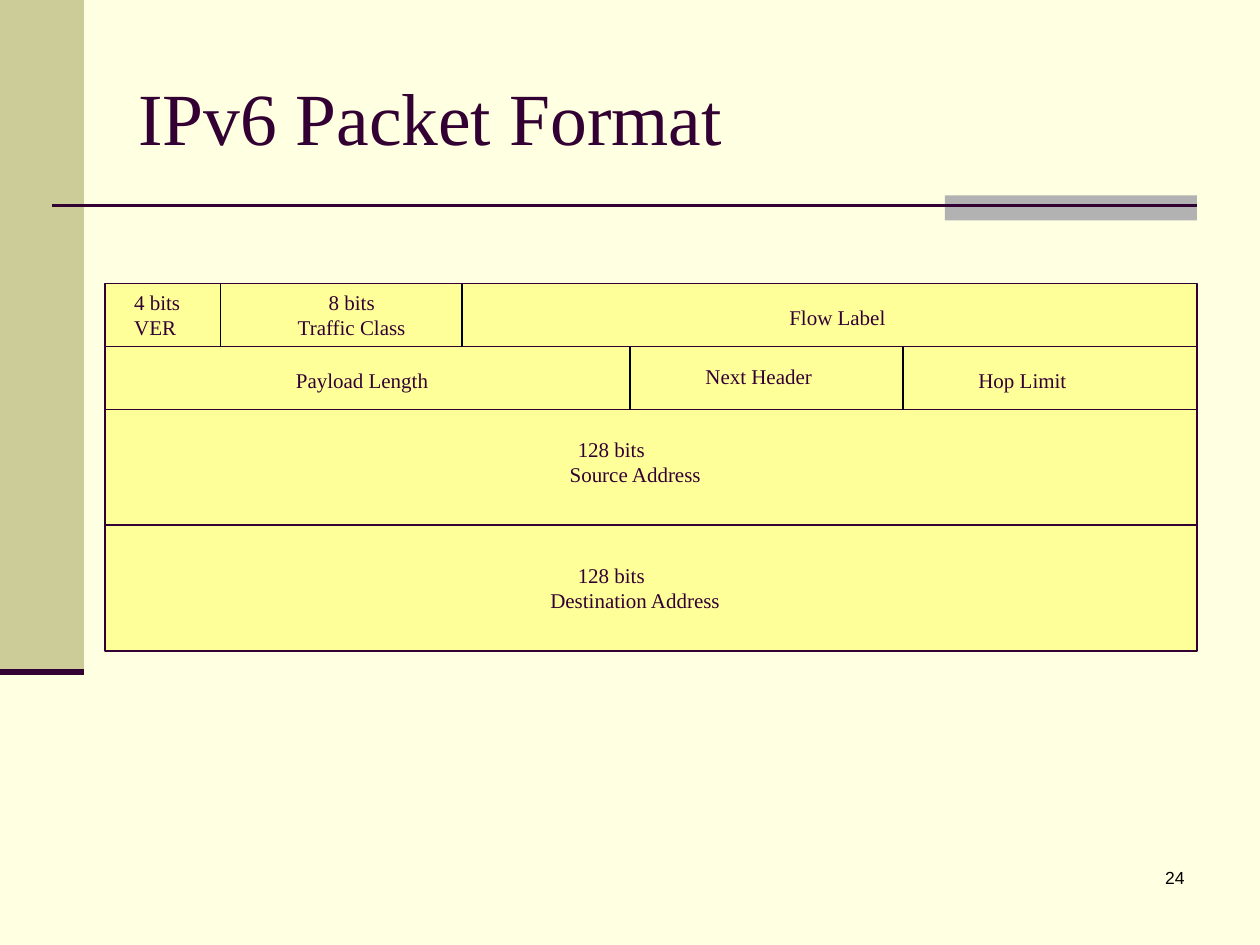
import pptx
import pptx.dml.color
import pptx.enum.shapes
import pptx.enum.text
import pptx.oxml.ns
import pptx.util
import lxml.etree

RGBColor = pptx.dml.color.RGBColor
CREAM = RGBColor(0xFF, 0xFF, 0xE1)
OLIVE = RGBColor(0xCC, 0xCC, 0x99)
GRAY = RGBColor(0xB2, 0xB2, 0xB2)
YELLOW = RGBColor(0xFF, 0xFF, 0x99)
PLUM = RGBColor(0x33, 0x00, 0x33)
BLACK = RGBColor(0x00, 0x00, 0x00)
ALIGN = pptx.enum.text.PP_ALIGN
ANCHOR = pptx.enum.text.MSO_ANCHOR
SERIF = "Times New Roman"
COLUMNS, ROWS = 120, 90


class PacketSlide:
    """Draws styled elements on a slide divided into 120 columns and 90 rows."""

    def __init__(self, deck):
        self.cell_width = deck.slide_width / COLUMNS
        self.cell_height = deck.slide_height / ROWS
        self.page = deck.slides.add_slide(deck.slide_layouts[6])
        self.page.background.fill.solid()
        self.page.background.fill.fore_color.rgb = CREAM

    def across(self, columns):
        return pptx.util.Emu(round(columns * self.cell_width))

    def down(self, rows):
        return pptx.util.Emu(round(rows * self.cell_height))

    def frame(self, left, top, width, height):
        return self.across(left), self.down(top), self.across(width), self.down(height)

    def block(self, left, top, width, height, fill, outline=None):
        box = self.page.shapes.add_shape(
            pptx.enum.shapes.MSO_SHAPE.RECTANGLE, *self.frame(left, top, width, height))
        box.shadow.inherit = False
        box.fill.solid()
        box.fill.fore_color.rgb = fill
        if outline is None:
            box.line.fill.background()
        else:
            box.line.color.rgb = outline
            box.line.width = pptx.util.Pt(1)

    def rule(self, left, top, right, bottom, color=PLUM, weight=1):
        line = self.page.shapes.add_connector(
            pptx.enum.shapes.MSO_CONNECTOR.STRAIGHT,
            self.across(left), self.down(top), self.across(right), self.down(bottom))
        line.line.color.rgb = color
        line.line.width = pptx.util.Pt(weight)
        properties = line._element.spPr
        lxml.etree.SubElement(properties, pptx.oxml.ns.qn("a:effectLst"))

    def text(self, left, top, width, height, lines, align=ALIGN.LEFT, size=12,
             font=SERIF, color=PLUM, anchor=ANCHOR.TOP, indent=0):
        box = self.page.shapes.add_textbox(*self.frame(left, top, width, height))
        body = box.text_frame
        body.word_wrap = True
        body.vertical_anchor = anchor
        for index, words in enumerate(lines):
            para = body.paragraphs[0] if index == 0 else body.add_paragraph()
            para.alignment = align
            if indent and index == 0:
                para.alignment = ALIGN.LEFT
                para._p.get_or_add_pPr().set("marL", str(self.across(indent)))
            span = para.add_run()
            span.text = words
            span.font.size = pptx.util.Pt(size)
            span.font.name = font
            span.font.color.rgb = color


def main():
    deck = pptx.Presentation()
    deck.slide_width = pptx.util.Inches(10)
    deck.slide_height = pptx.util.Inches(7.5)
    slide = PacketSlide(deck)

    slide.block(0, 0, 8, 64, OLIVE)
    slide.block(90, 18.6, 24, 2.4, GRAY)
    slide.rule(5, 19.6, 114, 19.6, weight=1.5)
    slide.rule(0, 64, 8, 64, weight=3.5)
    slide.text(12, 3.6, 102, 15, ["IPv6 Packet Format"], size=42, anchor=ANCHOR.MIDDLE)

    left, right = 10, 114
    edges = [27, 33, 39, 50, 62]
    slide.block(left, edges[0], right - left, edges[-1] - edges[0], YELLOW, PLUM)
    for row in edges[1:-1]:
        slide.rule(left, row, right, row)
    for band, dividers in enumerate([(21, 44), (60, 86)]):
        for column in dividers:
            slide.rule(column, edges[band], column, edges[band + 1], BLACK, 0.75)

    slide.text(11.6, 27, 8, 6, ["4 bits", "VER"])
    slide.text(27, 27, 13, 6, ["8 bits", "Traffic Class"], ALIGN.CENTER)
    for column, row, width, name in [
        (74, 28.4, 12, "Flow Label"),
        (27, 34.4, 16, "Payload Length"),
        (66, 34, 16, "Next Header"),
        (92, 34.4, 16, "Hop Limit"),
    ]:
        slide.text(column, row, width, 3.6, [name])
    for row, name in [(41, "Source Address"), (53, "Destination Address")]:
        slide.text(51, row, 19, 6, ["128 bits", name], ALIGN.CENTER, indent=2.85)

    slide.text(89, 82, 25, 6, ["24"], ALIGN.RIGHT, size=10, font="Arial", color=BLACK)
    deck.save("out.pptx")


if __name__ == "__main__":
    main()
